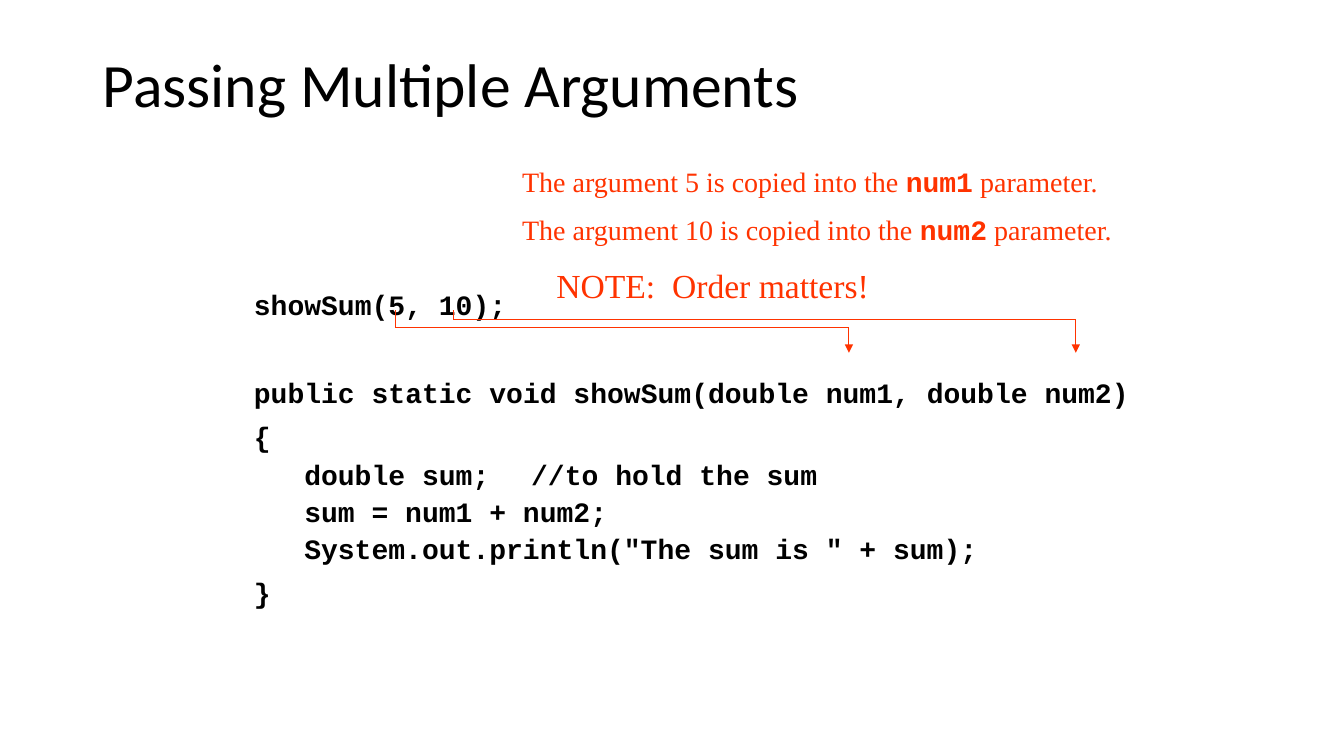
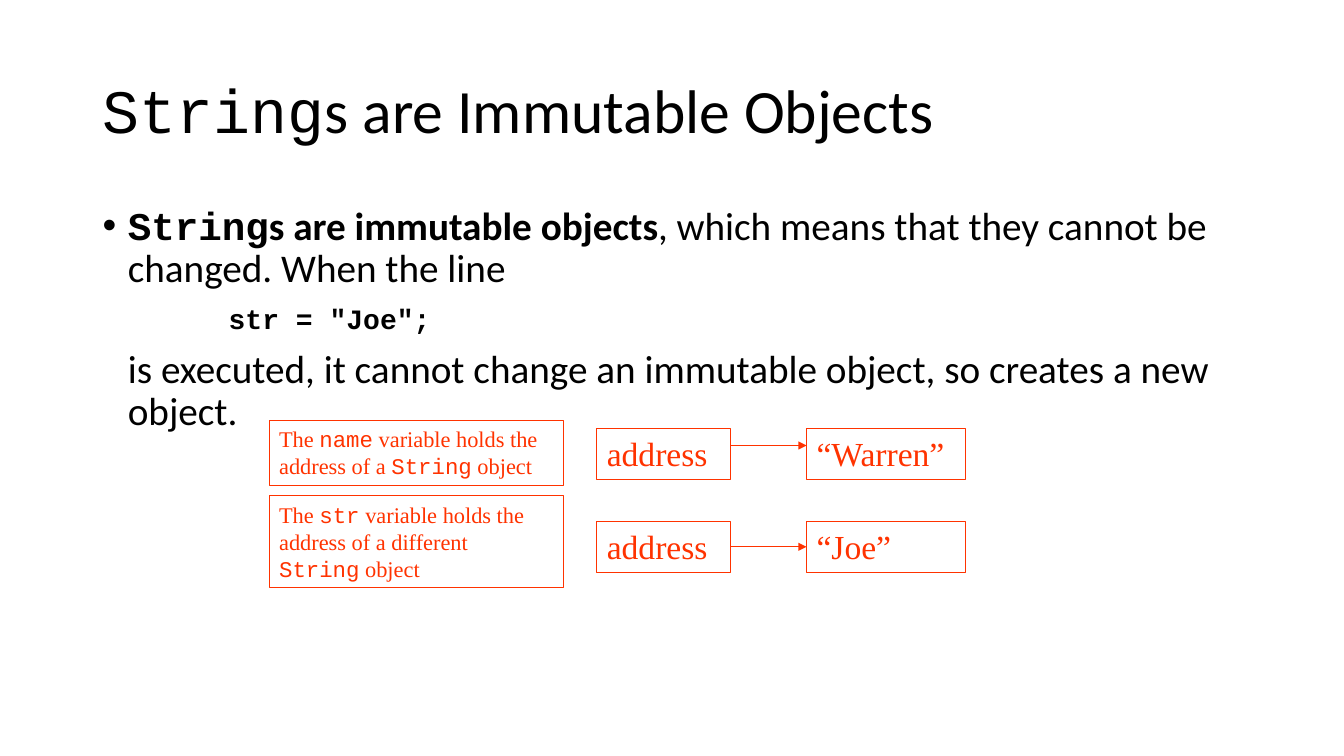
from dataclasses import dataclass
from itertools import pairwise

from lxml.etree import SubElement
from pptx import Presentation
from pptx.dml.color import RGBColor
from pptx.enum.shapes import MSO_CONNECTOR, MSO_SHAPE
from pptx.enum.text import MSO_ANCHOR, PP_ALIGN
from pptx.oxml.ns import qn
from pptx.shapes.autoshape import Shape
from pptx.shapes.connector import Connector
from pptx.slide import Slide
from pptx.util import Inches, Pt

BLACK = "000000"
RED = "FF3300"
BODY_FONT = "Calibri"
CODE_FONT = "Courier New"
NOTE_FONT = "Times New Roman"
LINE_WIDTH = 0.75


@dataclass(frozen=True)
class Box:
    left: float
    top: float
    width: float
    height: float


@dataclass(frozen=True)
class Span:
    text: str
    font: str = NOTE_FONT
    bold: bool = False


@dataclass(frozen=True)
class Line:
    """One paragraph; margin and indent are inches, before is points."""
    spans: tuple[Span, ...]
    size: float
    color: str = RED
    before: float = 0
    spacing: float = 1.0
    margin: float = 0
    indent: float = 0
    bullet: str = ""


def rgb(color: str) -> RGBColor:
    return RGBColor.from_string(color)


def fill_text(shape: Shape, lines: list[Line], anchor: MSO_ANCHOR = MSO_ANCHOR.TOP) -> None:
    frame = shape.text_frame
    frame.word_wrap = True
    frame.vertical_anchor = anchor
    for number, line in enumerate(lines):
        paragraph = frame.paragraphs[0] if number == 0 else frame.add_paragraph()
        formats = {
            "alignment": PP_ALIGN.LEFT,
            "line_spacing": line.spacing,
            "space_before": Pt(line.before),
        }
        for name, value in formats.items():
            setattr(paragraph, name, value)
        properties = paragraph._p.get_or_add_pPr()
        properties.set("marL", str(Inches(line.margin)))
        properties.set("indent", str(Inches(line.indent)))
        if line.bullet:
            SubElement(properties, qn("a:buFont"), typeface="Arial")
            SubElement(properties, qn("a:buChar"), char=line.bullet)
        for span in line.spans:
            run = paragraph.add_run()
            run.text = span.text
            font_formats = {"name": span.font, "size": Pt(line.size), "bold": span.bold}
            for name, value in font_formats.items():
                setattr(run.font, name, value)
            run.font.color.rgb = rgb(line.color)


def place(box: Box) -> tuple[Inches, Inches, Inches, Inches]:
    return Inches(box.left), Inches(box.top), Inches(box.width), Inches(box.height)


def add_text(slide: Slide, box: Box, lines: list[Line],
             anchor: MSO_ANCHOR = MSO_ANCHOR.TOP) -> None:
    fill_text(slide.shapes.add_textbox(*place(box)), lines, anchor)


def add_title(slide: Slide, height: float, *spans: Span) -> None:
    add_text(slide, Box(0.92, 0.4, 11.5, height),
             [Line(spans, 44, BLACK, spacing=0.9)], MSO_ANCHOR.MIDDLE)


def add_outlined(slide: Slide, box: Box, size: float, *spans: Span) -> Shape:
    """Add an unfilled red rectangle with text."""
    shape = slide.shapes.add_shape(MSO_SHAPE.RECTANGLE, *place(box))
    shape.shadow.inherit = False
    shape.fill.background()
    shape.line.color.rgb = rgb(RED)
    shape.line.width = Pt(LINE_WIDTH)
    fill_text(shape, [Line(spans, size)])
    return shape


def add_route(slide: Slide, points: list[tuple[float, float]]) -> Connector:
    """Join points with straight lines, and end with an arrowhead."""
    for (x1, y1), (x2, y2) in pairwise(points):
        connector = slide.shapes.add_connector(
            MSO_CONNECTOR.STRAIGHT, Inches(x1), Inches(y1), Inches(x2), Inches(y2))
        connector.line.color.rgb = rgb(RED)
        connector.line.width = Pt(LINE_WIDTH)
        SubElement(connector._element.spPr, qn("a:effectLst"))
    SubElement(connector.line._get_or_add_ln(), qn("a:tailEnd"), type="triangle")
    return connector


def build_arguments(slide: Slide) -> None:
    add_title(slide, 0.93, Span("Passing Multiple Arguments", BODY_FONT))

    def code(text: str, before: float = 10, margin: float = 0.25) -> Line:
        return Line((Span(text, CODE_FONT, True),), 20, BLACK, before, 0.9, margin, -0.25)

    statements = ["double sum;\t//to hold the sum", "sum = num1 + num2;",
                  'System.out.println("The sum is " + sum);']
    add_text(slide, Box(2.42, 2.84, 9, 4.08), [
        code("showSum(5, 10);", 0),
        code("public static void showSum(double num1, double num2)", 41.4),
        code("{"),
        *(code(statement, 5, 0.75) for statement in statements),
        code("}"),
    ])

    copies = [("5", "num1"), ("10", "num2")]
    add_text(slide, Box(5.08, 1.58, 6.17, 0.93), [
        Line((Span(f"The argument {argument} is copied into the "),
              Span(parameter, CODE_FONT, True), Span(" parameter.")),
             20, before=10.5 * number)
        for number, (argument, parameter) in enumerate(copies)
    ])
    add_text(slide, Box(5.42, 2.58, 4.33, 0.5),
             [Line((Span("NOTE:  Order matters!"),), 24)])

    for start, turn, end in [(3.92, 3.25, 8.42), (4.5, 3.17, 10.67)]:
        add_route(slide, [(start, 3.08), (start, turn), (end, turn), (end, 3.5)])


def build_strings(slide: Slide) -> None:
    add_title(slide, 1.45, Span("String", CODE_FONT),
              Span("s are Immutable Objects", BODY_FONT))
    add_text(slide, Box(0.92, 2, 11.5, 4.76), [
        Line((Span("String", CODE_FONT, True),
              Span("s are immutable objects", BODY_FONT, True),
              Span(", which means that they cannot be changed. When the line", BODY_FONT)),
             28, BLACK, 0, 0.9, 0.25, -0.25, "•"),
        Line((Span('str = "Joe";', CODE_FONT, True),), 20, BLACK, 10, 0.9, 1.25),
        Line((Span("is executed, it cannot change an immutable object, "
                   "so creates a new object.", BODY_FONT),), 28, BLACK, 10, 0.9, 0.25),
    ])

    variables = [
        ("name", "address of a ", "“Warren”", 4.25, Box(2.67, 4.17, 2.92, 0.65)),
        ("str", "address of a different ", "“Joe”", 5.17, Box(2.67, 4.92, 2.92, 0.91)),
    ]
    for variable, target, value, top, note_box in variables:
        add_outlined(slide, note_box, 16, Span("The "), Span(variable, CODE_FONT),
                     Span(f" variable holds the {target}"),
                     Span("String", CODE_FONT), Span(" object"))
        address = add_outlined(slide, Box(5.92, top, 1.33, 0.51), 24, Span("address"))
        content = add_outlined(slide, Box(8, top, 1.58, 0.51), 24, Span(value))
        if variable == "name":
            add_route(slide, [(7.25, 4.42), (8, 4.42)])
        else:
            arrow = add_route(slide, [(7.25, 5.42), (8, 5.42)])
            arrow.begin_connect(address, 3)
            arrow.end_connect(content, 1)


def main() -> None:
    presentation = Presentation()
    presentation.slide_width = Inches(13.33)
    presentation.slide_height = Inches(7.5)
    for build in (build_arguments, build_strings):
        build(presentation.slides.add_slide(presentation.slide_layouts[6]))
    presentation.save("out.pptx")


if __name__ == "__main__":
    main()
